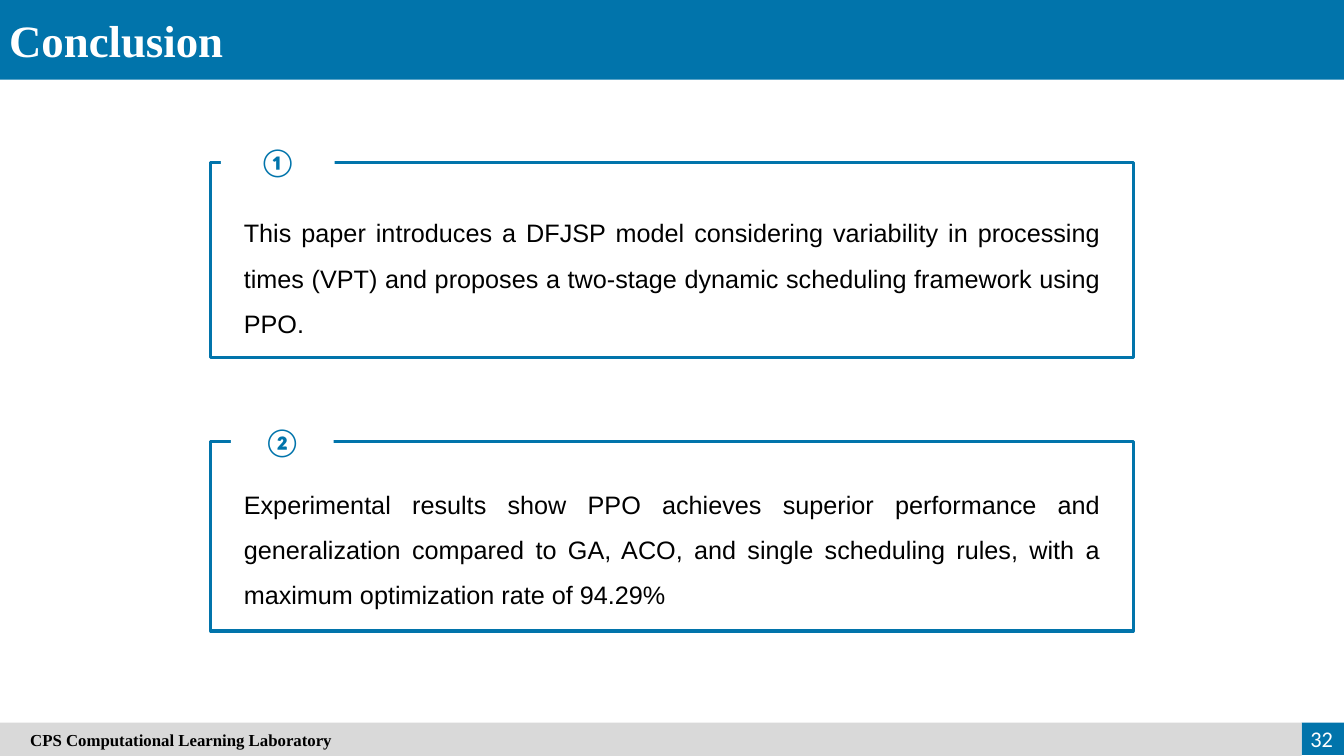
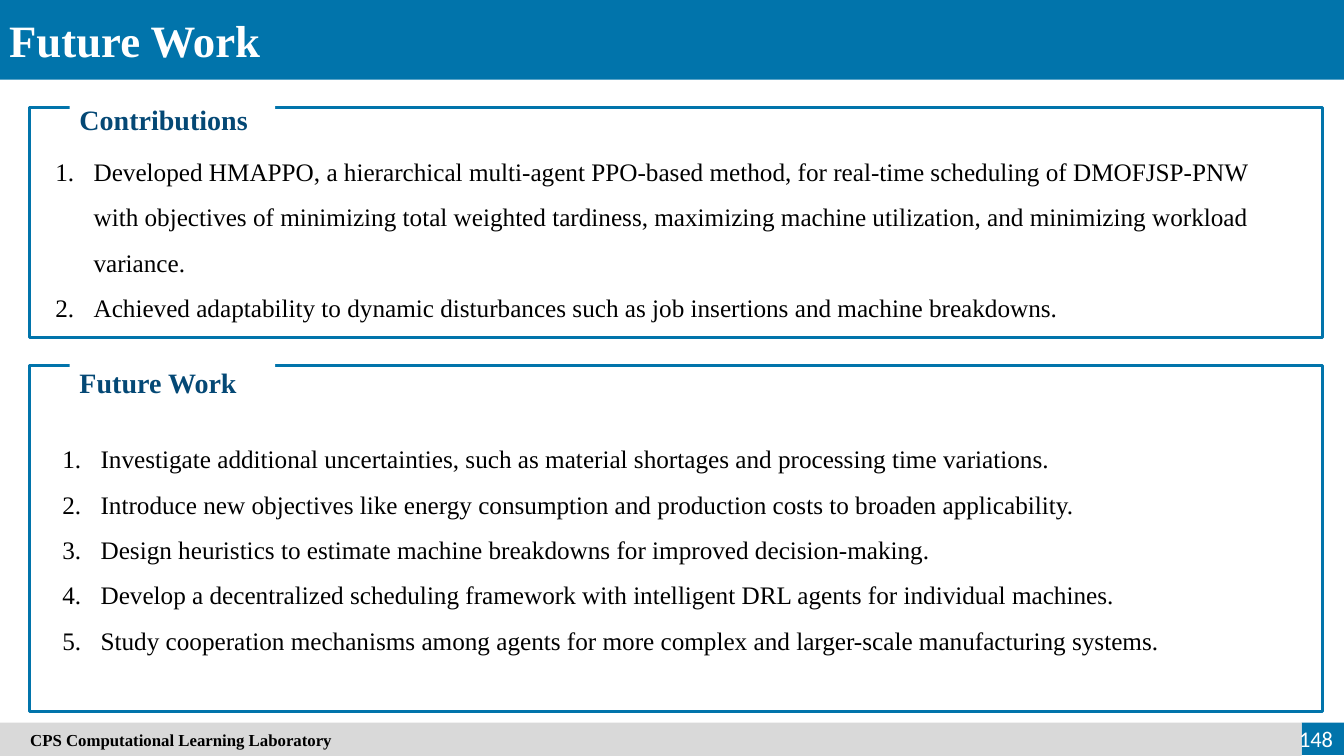
from dataclasses import dataclass
from pptx import Presentation
from pptx import util as u
from pptx.dml.color import RGBColor
from pptx.enum import shapes, text
from lxml import etree


@dataclass(frozen=True)
class Theme:
    blue: str = "0174AB"
    navy: str = "044875"
    gray: str = "D9D9D9"
    white: str = "FFFFFF"
    black: str = "000000"
    serif: str = "Times New Roman"
    sans: str = "Arial"
    plain: str = "Calibri"
    head: int = 32
    label: int = 20
    body: int = 18
    page: int = 16
    foot: int = 12


T = Theme()
LEFT, MID = text.PP_ALIGN.LEFT, text.PP_ALIGN.CENTER
RIGHT, JUST = text.PP_ALIGN.RIGHT, text.PP_ALIGN.JUSTIFY
TOP, CENTER = text.MSO_ANCHOR.TOP, text.MSO_ANCHOR.MIDDLE


def box(slide, at, fill=None, line=None):
    """Add a plain rectangle, filled or outlined."""
    rect = slide.shapes.add_shape(shapes.MSO_SHAPE.RECTANGLE, *map(u.Inches, at))
    rect.shadow.inherit = False
    if fill:
        rect.fill.solid()
        rect.fill.fore_color.rgb = RGBColor.from_string(fill)
    else:
        rect.fill.background()
    if line:
        rect.line.color.rgb = RGBColor.from_string(line)
        rect.line.width = u.Pt(2.25)
    else:
        rect.line.fill.background()
    return rect


def write(shape, lines, face, size, color, bold=False, align=LEFT,
          anchor=TOP, space=1.0, number=False):
    """Put paragraphs in a shape and format them alike."""
    frame = shape.text_frame
    frame.text = "\n".join(lines)
    frame.word_wrap = True
    frame.auto_size = text.MSO_AUTO_SIZE.NONE
    frame.vertical_anchor = anchor
    for para in frame.paragraphs:
        para.alignment = align
        para.line_spacing = space
        if number:
            props = para._p.get_or_add_pPr()
            props.set("marL", str(u.Inches(0.38)))
            props.set("indent", str(-u.Inches(0.38)))
            uri = etree.QName(props).namespace
            etree.SubElement(props, f"{{{uri}}}buAutoNum", type="arabicPeriod")
        for run in para.runs:
            run.font.name = face
            run.font.size = u.Pt(size)
            run.font.bold = bold
            run.font.color.rgb = RGBColor.from_string(color)


# Label and body styles for the two kinds of panel
badge = dict(face=T.plain, size=T.label, color=T.blue, bold=True,
             align=MID, anchor=CENTER)
tag = dict(face=T.serif, size=T.label, color=T.navy, bold=True,
           anchor=CENTER, space=1.5)
prose = dict(face=T.sans, size=T.body, color=T.black, align=JUST, space=1.5)
items = dict(face=T.serif, size=T.body, color=T.black, space=1.5, number=True)

# Each panel: frame, label place, label, body place, body lines
pages = [
    ("Conclusion", "32", badge, prose, [
        ((2.09, 1.61, 9.15, 1.94), (2.19, 1.33, 1.13, 0.55), "①",
         (2.32, 1.96, 8.69, 1.41), [
            "This paper introduces a DFJSP model considering variability in "
            "processing times (VPT) and proposes a two-stage dynamic "
            "scheduling framework using PPO."]),
        ((2.09, 4.38, 9.15, 1.88), (2.29, 4.1, 1.02, 0.55), "②",
         (2.32, 4.65, 8.69, 1.41), [
            "Experimental results show PPO achieves superior performance and "
            "generalization compared to GA, ACO, and single scheduling rules, "
            "with a maximum optimization rate of 94.29%"]),
    ]),
    ("Future Work", "148", tag, items, [
        ((0.29, 1.07, 12.83, 2.28), (0.69, 0.82, 2.04, 0.56), "Contributions",
         (0.45, 1.35, 12.42, 1.86), [
            "Developed HMAPPO, a hierarchical multi-agent PPO-based method, "
            "for real-time scheduling of DMOFJSP-PNW with objectives of "
            "minimizing total weighted tardiness, maximizing machine "
            "utilization, and minimizing workload variance.",
            "Achieved adaptability to dynamic disturbances such as job "
            "insertions and machine breakdowns."]),
        ((0.29, 3.63, 12.83, 3.43), (0.69, 3.43, 2.04, 0.56), "Future Work",
         (0.52, 4.2, 12.6, 2.32), [
            "Investigate additional uncertainties, such as material shortages "
            "and processing time variations.",
            "Introduce new objectives like energy consumption and production "
            "costs to broaden applicability.",
            "Design heuristics to estimate machine breakdowns for improved "
            "decision-making.",
            "Develop a decentralized scheduling framework with intelligent "
            "DRL agents for individual machines.",
            "Study cooperation mechanisms among agents for more complex and "
            "larger-scale manufacturing systems."]),
    ]),
]

deck = Presentation()
deck.slide_width, deck.slide_height = u.Inches(13.33), u.Inches(7.5)

for name, num, mark, style, panels in pages:
    slide = deck.slides.add_slide(deck.slide_layouts[5])

    # Title, raised above its band
    box(slide, (0, 0, 13.33, 0.79), fill=T.blue)
    title = slide.shapes.title
    slide.shapes._spTree.append(title._element)
    title.left, title.top = u.Inches(-0.01), u.Inches(0.08)
    title.width, title.height = u.Inches(5.37), u.Inches(0.64)
    write(title, [name], T.serif, T.head, T.white, bold=True)

    # Framed panels with a label set into the top edge
    for edge, spot, label, area, lines in panels:
        box(slide, edge, line=T.blue)
        write(box(slide, spot, fill=T.white), [label], **mark)
        body = slide.shapes.add_textbox(*map(u.Inches, area))
        write(body, lines, **style)

    # Footer band and page number
    box(slide, (12.91, 7.17, 0.42, 0.32), fill=T.blue)
    foot = box(slide, (0, 7.17, 12.91, 0.33), fill=T.gray)
    write(foot, ["CPS Computational Learning Laboratory"], T.serif, T.foot,
          T.black, bold=True, anchor=CENTER)
    foot.text_frame.margin_left = u.Inches(0.3)
    page = slide.shapes.add_textbox(*map(u.Inches, (12.69, 7.13, 0.63, 0.4)))
    write(page, [num], T.plain, T.page, T.white, align=RIGHT, anchor=CENTER)

deck.save("out.pptx")
